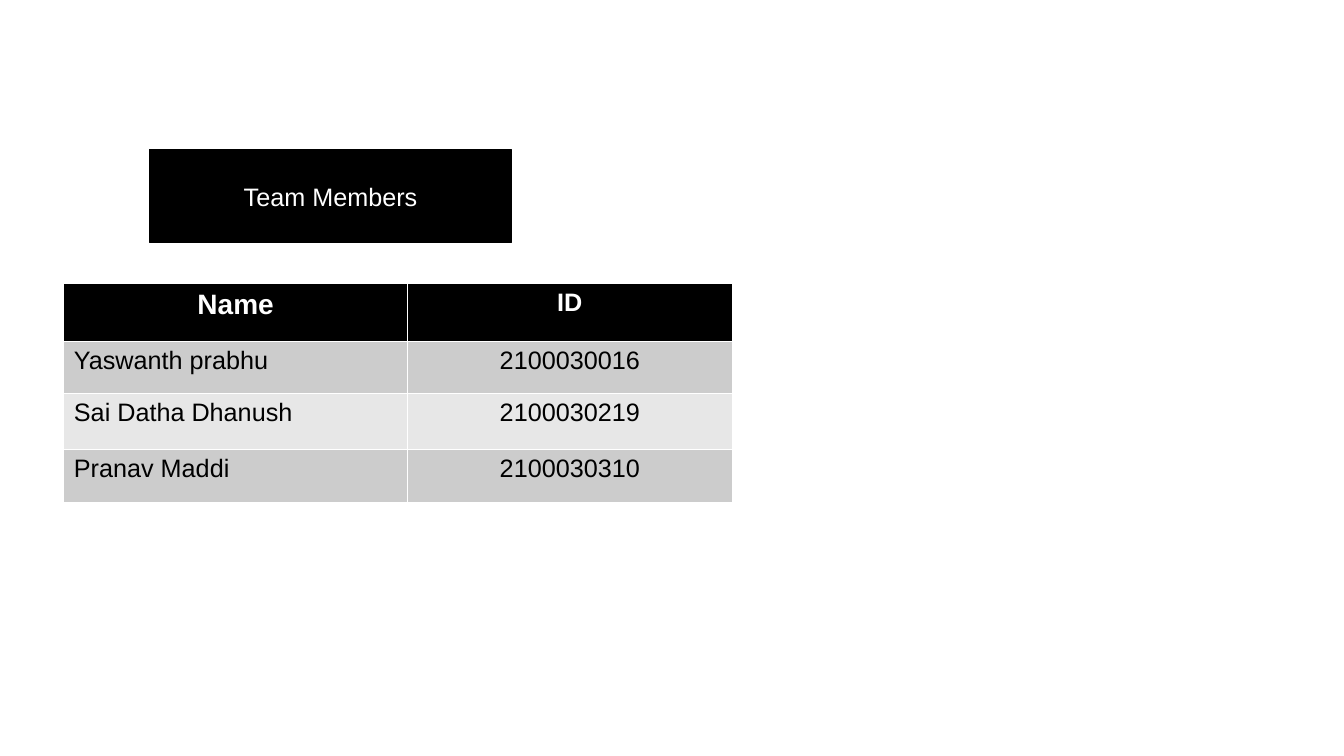
from pptx import Presentation
from pptx import util as u
from pptx.dml.color import RGBColor
from pptx.enum import shapes, text

BLACK = RGBColor(0x00, 0x00, 0x00)
WHITE = RGBColor(0xFF, 0xFF, 0xFF)
BANDS = (RGBColor(0xCC, 0xCC, 0xCC), RGBColor(0xE7, 0xE7, 0xE7))

MEMBERS = [
    ("Name", "ID"),
    ("Yaswanth prabhu", "2100030016"),
    ("Sai Datha Dhanush", "2100030219"),
    ("Pranav Maddi", "2100030310"),
]
COLUMN_WIDTHS = (8.66, 8.18)
ROW_HEIGHTS = (1.45, 1.32, 1.4, 1.35)


def write(frame, words, color, size=18, bold=False, centred=True):
    frame.text = words
    para = frame.paragraphs[0]
    para.alignment = text.PP_ALIGN.CENTER if centred else text.PP_ALIGN.LEFT
    font = para.runs[0].font
    font.name, font.size, font.bold = "Arial", u.Pt(size), bold
    font.color.rgb = color


def add_heading(page, box):
    heading = page.shapes.add_shape(
        shapes.MSO_SHAPE.RECTANGLE, *(u.Cm(length) for length in box))
    heading.shadow.inherit = False
    heading.fill.solid()
    heading.fill.fore_color.rgb = BLACK
    heading.line.color.rgb = BLACK
    heading.line.width = u.Pt(1)
    heading.text_frame.vertical_anchor = text.MSO_ANCHOR.MIDDLE
    write(heading.text_frame, "Team Members", WHITE)


def add_member_table(page, left, top):
    # The default table style supplies the white rules
    table = page.shapes.add_table(
        len(MEMBERS), len(COLUMN_WIDTHS), u.Cm(left), u.Cm(top),
        u.Cm(sum(COLUMN_WIDTHS)), u.Cm(sum(ROW_HEIGHTS))).table
    for column, width in zip(table.columns, COLUMN_WIDTHS):
        column.width = u.Cm(width)
    for row, height in zip(table.rows, ROW_HEIGHTS):
        row.height = u.Cm(height)

    # Header row, then alternating grey bands
    for r, member in enumerate(MEMBERS):
        header = r == 0
        for c, words in enumerate(member):
            cell = table.cell(r, c)
            cell.fill.solid()
            cell.fill.fore_color.rgb = BLACK if header else BANDS[(r - 1) % 2]
            write(cell.text_frame, words, WHITE if header else BLACK,
                  size=20 if header and c == 0 else 18,
                  bold=header, centred=header or c == 1)


deck = Presentation()
deck.slide_width, deck.slide_height = u.Cm(33.87), u.Cm(19.05)
page = deck.slides.add_slide(deck.slide_layouts[6])
add_member_table(page, 1.61, 7.15)
add_heading(page, (3.77, 3.77, 9.12, 2.34))
deck.save("out.pptx")
